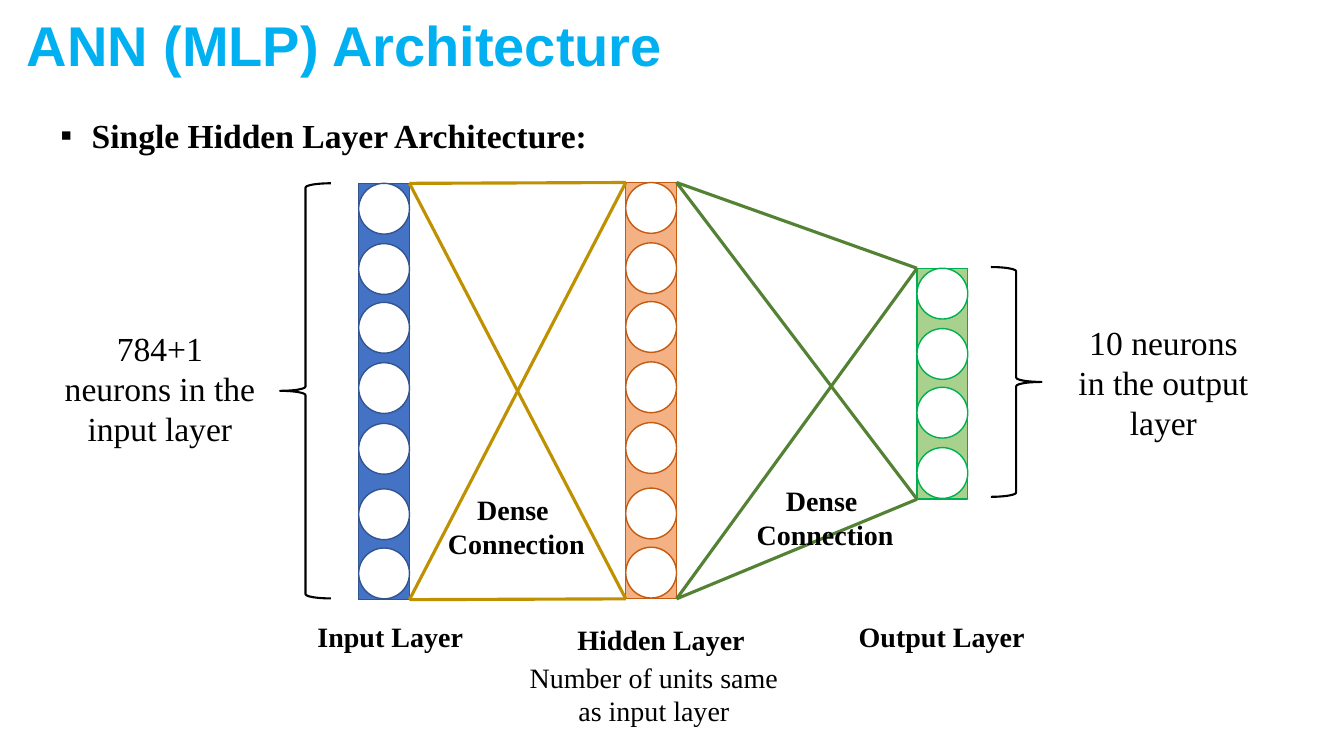
from lxml.etree import SubElement
from pptx import Presentation
from pptx.dml.color import RGBColor
from pptx.enum.shapes import MSO_CONNECTOR, MSO_SHAPE
from pptx.enum.text import PP_ALIGN
from pptx.oxml.ns import qn
from pptx.util import Cm, Pt


def rgb(value):
    return RGBColor.from_string(value)


def add_text(text, left, top, width, height, size=20, font="Times New Roman",
             color="000000", bold=False, align=PP_ALIGN.LEFT, wrap=True):
    frame = slide.shapes.add_textbox(Cm(left), Cm(top), Cm(width), Cm(height)).text_frame
    frame.word_wrap = wrap
    frame.text = text
    for paragraph in frame.paragraphs:
        paragraph.alignment = align
        paragraph.font.size = Pt(size)
        paragraph.font.name = font
        paragraph.font.bold = bold
        paragraph.font.color.rgb = rgb(color)
    return frame


deck = Presentation()
deck.slide_width, deck.slide_height = Cm(33.87), Cm(19.05)
slide = deck.slides.add_slide(deck.slide_layouts[6])

add_text("ANN (MLP) Architecture", 0.43, 0.15, 28.02, 1.96,
         size=40, font="Arial", color="00B0F0", bold=True)
heading = add_text("Single Hidden Layer Architecture:", 1.27, 2.77, 31.32, 1.27,
                   size=24, bold=True)
bullet = heading.paragraphs[0]._p.get_or_add_pPr()
bullet.set("marL", str(Cm(0.79)))
bullet.set("indent", str(Cm(-0.79)))
SubElement(bullet, qn("a:buFont"), typeface="Arial")
SubElement(bullet, qn("a:buChar"), char="▪")

neuron_size = 1.28
neuron_offsets = [0, 1.52, 3, 4.52, 6.05, 7.7, 9.19]
input_layer = (9.04, 4.62, 10.49)
hidden_layer = (15.77, 4.6, 10.49)
output_layer = (23.11, 6.76, 5.82)

for (left, top, height), neurons, fill, outline in [
    (input_layer, 7, "4472C4", "325491"),
    (hidden_layer, 7, "F4B183", "C55A11"),
    (output_layer, 4, "A9D18E", "00B050"),
]:
    parts = [(MSO_SHAPE.RECTANGLE, top, height, fill)]
    parts += [(MSO_SHAPE.OVAL, top + offset, neuron_size, "FFFFFF")
              for offset in neuron_offsets[:neurons]]
    for kind, part_top, part_height, part_fill in parts:
        part = slide.shapes.add_shape(kind, Cm(left), Cm(part_top),
                                      Cm(neuron_size), Cm(part_height))
        part.shadow.inherit = False
        part.fill.solid()
        part.fill.fore_color.rgb = rgb(part_fill)
        part.line.color.rgb = rgb(outline)
        part.line.width = Pt(1)

for source, target, color in [
    (input_layer, hidden_layer, "BF9000"),
    (hidden_layer, output_layer, "548235"),
]:
    for start in (source[1], source[1] + source[2]):
        for end in (target[1], target[1] + target[2]):
            link = slide.shapes.add_connector(
                MSO_CONNECTOR.STRAIGHT, Cm(source[0] + neuron_size), Cm(start),
                Cm(target[0]), Cm(end))
            link.line.color.rgb = rgb(color)
            link.line.width = Pt(2.25)
            SubElement(link._element.spPr, qn("a:effectLst"))

for kind, left, top, height in [
    (MSO_SHAPE.LEFT_BRACE, 7.06, 4.62, 10.46),
    (MSO_SHAPE.RIGHT_BRACE, 24.97, 6.73, 5.79),
]:
    brace = slide.shapes.add_shape(kind, Cm(left), Cm(top), Cm(neuron_size), Cm(height))
    brace.shadow.inherit = False
    brace.fill.background()
    brace.line.color.rgb = rgb("000000")
    brace.line.width = Pt(1.5)

for name, left, top, width in [
    ("Input Layer", 7.75, 15.49, 4.22),
    ("Hidden Layer", 14.3, 15.57, 4.78),
    ("Output Layer", 21.39, 15.49, 4.72),
]:
    add_text(name, left, top, width, 1.12, bold=True, wrap=False)

for left, top in [(11.02, 12.29), (18.8, 12.07)]:
    add_text("Dense \nConnection", left, top, 3.99, 1.96,
             bold=True, align=PP_ALIGN.CENTER, wrap=False)

for note, left, top, width, height, size in [
    ("784+1 neurons in the input layer", 1.35, 8.13, 5.36, 3.33, 24),
    ("10 neurons in the output layer", 26.82, 7.98, 5, 3.33, 24),
    ("Number of units same as input layer", 12.9, 16.51, 7.16, 1.96, 20),
]:
    add_text(note, left, top, width, height, size=size, align=PP_ALIGN.CENTER)

deck.save("out.pptx")
